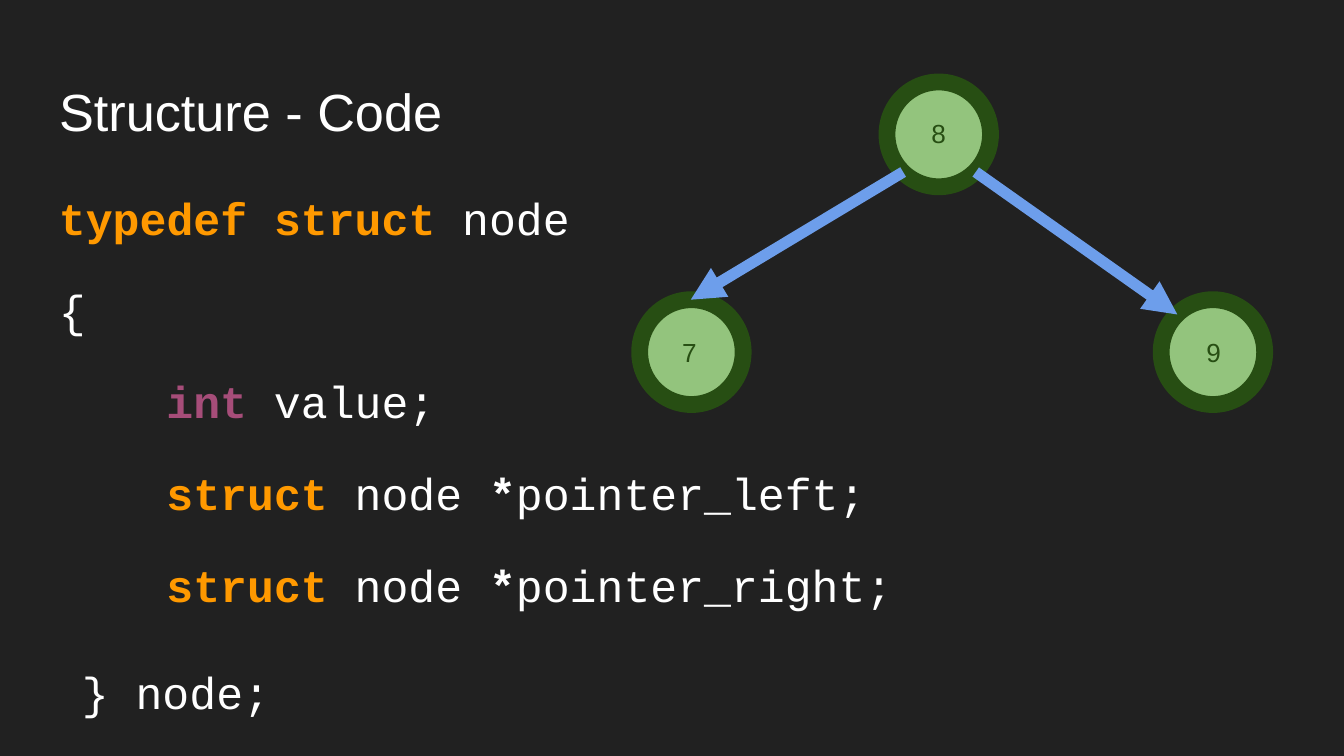
from dataclasses import dataclass

from pptx import Presentation
from pptx.dml.color import RGBColor
from pptx.enum.shapes import MSO_CONNECTOR as Connector, MSO_SHAPE as Shape
from pptx.enum.text import MSO_ANCHOR as Anchor, MSO_AUTO_SIZE as AutoSize, PP_ALIGN as Align
from pptx.util import Pt
from lxml.etree import SubElement
from pptx.oxml.ns import qn

SCALE = 4572


@dataclass(frozen=True)
class Theme:
    """Colours, fonts and type sizes of the slide."""
    background: str = "212121"
    text: str = "FFFFFF"
    keyword: str = "FF9900"
    type_name: str = "A64D79"
    node_fill: str = "93C47D"
    node_line: str = "274E13"
    arrow: str = "6D9EEB"
    sans: str = "Arial"
    mono: str = "Courier New"
    title_size: int = 28
    code_size: int = 24
    node_size: int = 14
    node_line_width: int = 9
    arrow_width: int = 6


THEME = Theme()
PLAIN = {"color": THEME.text, "bold": False}
STAR = {"color": THEME.text, "bold": True}
KEYWORD = {"color": THEME.keyword, "bold": True}
TYPE = {"color": THEME.type_name, "bold": True}
INDENT = ("    ", PLAIN)


def pointer_line(name):
    """Return the tokens of a struct pointer member."""
    return [INDENT, ("struct ", KEYWORD), ("node ", PLAIN), ("*", STAR), (f"{name};", PLAIN)]


CODE = [
    [("typedef struct ", KEYWORD), ("node", PLAIN)],
    [("{", PLAIN)],
    [INDENT, ("int ", TYPE), ("value;", PLAIN)],
    pointer_line("pointer_left"),
    pointer_line("pointer_right"),
    [("} node;", PLAIN)],
]
NODES = [
    ("8", (1320, 122), (1370, 162, 54, 72)),
    ("7", (952, 446), (1000, 490, 52, 68)),
    ("9", (1728, 446), (1780, 488, 52, 72)),
]
ARROWS = [(1344, 256, 1028, 446), (1452, 256, 1752, 468)]


def px(*lengths):
    """Turn px lengths into EMU."""
    return [length * SCALE for length in lengths]


def set_values(target, values):
    """Set attributes from a dict of format values."""
    for name, value in values.items():
        setattr(target, name, value)


def add_run(paragraph, text, family, size, color, bold=False):
    """Add a run with its family, size, weight and colour."""
    run = paragraph.add_run()
    run.text = text
    set_values(run.font, {"name": family, "size": Pt(size), "bold": bold})
    run.font.color.rgb = RGBColor.from_string(color)


def style_frame(frame, inset, anchor):
    """Set the insets, wrapping and anchor of a text frame."""
    sides = ("margin_left", "margin_top", "margin_right", "margin_bottom")
    set_values(frame, dict(zip(sides, px(*[inset] * 4))))
    set_values(frame, {"word_wrap": True, "auto_size": AutoSize.NONE, "vertical_anchor": anchor})


def style_fill(fill, color):
    """Give a fill one solid colour."""
    fill.solid()
    fill.fore_color.rgb = RGBColor.from_string(color)


def style_line(line, color, width):
    """Give an outline or connector its colour and width."""
    line.color.rgb = RGBColor.from_string(color)
    line.width = Pt(width)


def add_title(slide, text):
    """Move, fill and format the title placeholder."""
    title = slide.shapes.title
    set_values(title, dict(zip(("left", "top", "width", "height"), px(68, 98, 1864, 126))))
    style_frame(title.text_frame, 20, Anchor.TOP)
    paragraph = title.text_frame.paragraphs[0]
    paragraph.alignment = Align.LEFT
    add_run(paragraph, text, THEME.sans, THEME.title_size, THEME.text)


def add_code(slide, lines):
    """Add the highlighted code listing."""
    frame = slide.shapes.add_textbox(*px(68, 252, 1864, 748)).text_frame
    style_frame(frame, 20, Anchor.TOP)
    for index, tokens in enumerate(lines):
        paragraph = frame.add_paragraph() if index else frame.paragraphs[0]
        set_values(paragraph, {"line_spacing": 1.15, "space_before": Pt(16 if index else 0)})
        for text, style in tokens:
            add_run(paragraph, text, THEME.mono, THEME.code_size, **style)
    paragraph.line_spacing = 1.45
    paragraph._p.get_or_add_pPr().set("marL", str(34 * SCALE))


def add_node(slide, value, corner, label_box):
    """Add a tree node and the label of its value."""
    node = slide.shapes.add_shape(Shape.OVAL, *px(*corner, 154, 156))
    node.shadow.inherit = False
    style_fill(node.fill, THEME.node_fill)
    style_line(node.line, THEME.node_line, THEME.node_line_width)
    frame = slide.shapes.add_textbox(*px(*label_box)).text_frame
    style_frame(frame, 0, Anchor.MIDDLE)
    paragraph = frame.paragraphs[0]
    paragraph.alignment = Align.CENTER
    add_run(paragraph, value, THEME.sans, THEME.node_size, THEME.node_line)


def add_arrow(slide, *ends):
    """Add an arrow from a parent to a child node."""
    arrow = slide.shapes.add_connector(Connector.STRAIGHT, *px(*ends))
    style_line(arrow.line, THEME.arrow, THEME.arrow_width)
    SubElement(arrow.line._get_or_add_ln(), qn("a:tailEnd"), type="triangle")
    SubElement(arrow._element.spPr, qn("a:effectLst"))


def main():
    """Build and save the slide."""
    presentation = Presentation()
    size = px(2000, 1125)
    set_values(presentation, dict(zip(("slide_width", "slide_height"), size)))
    slide = presentation.slides.add_slide(presentation.slide_layouts.get_by_name("Title Only"))
    style_fill(slide.background.fill, THEME.background)
    add_title(slide, "Structure - Code")
    add_code(slide, CODE)
    for node in NODES:
        add_node(slide, *node)
    for arrow in ARROWS:
        add_arrow(slide, *arrow)
    presentation.save("out.pptx")


if __name__ == "__main__":
    main()
